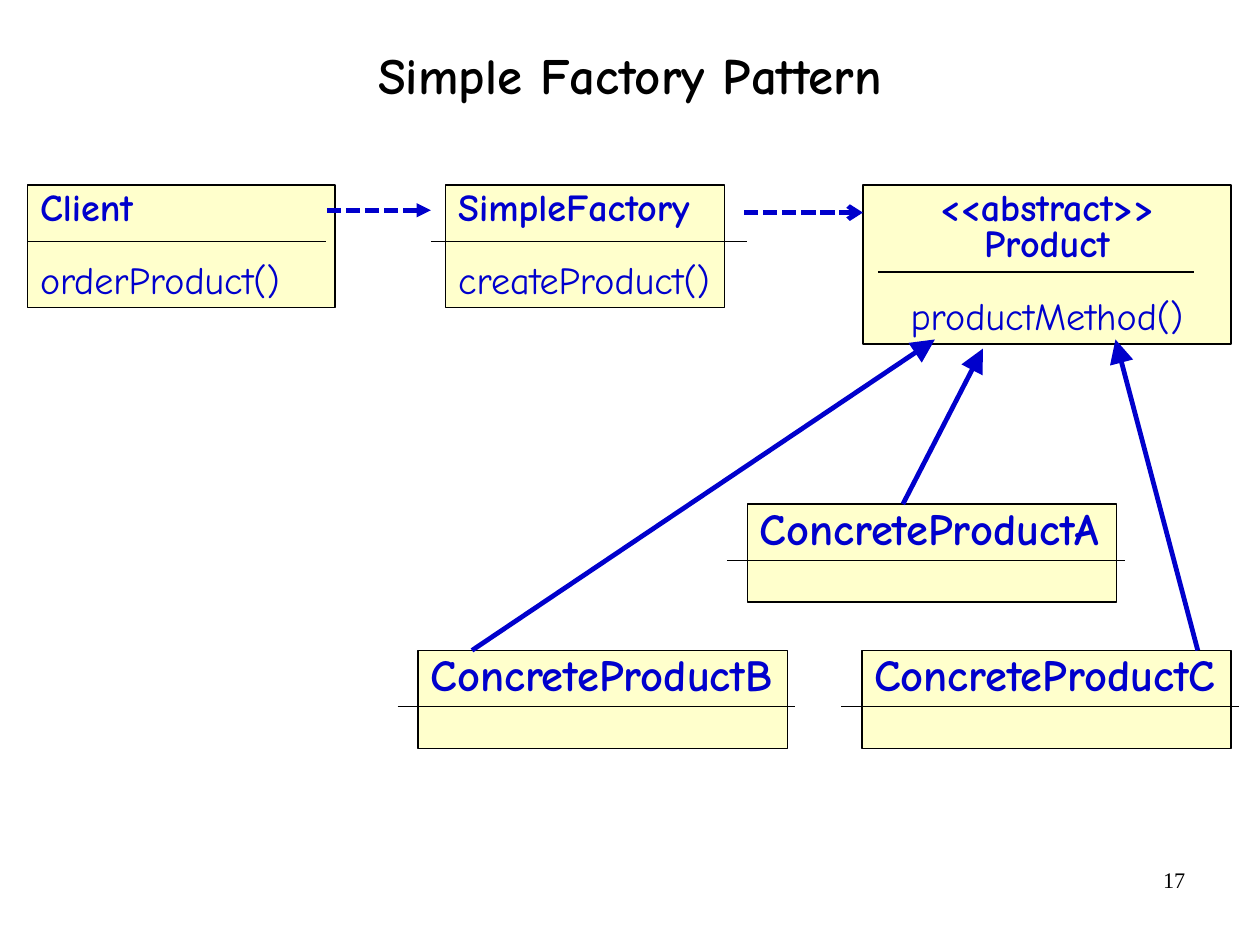
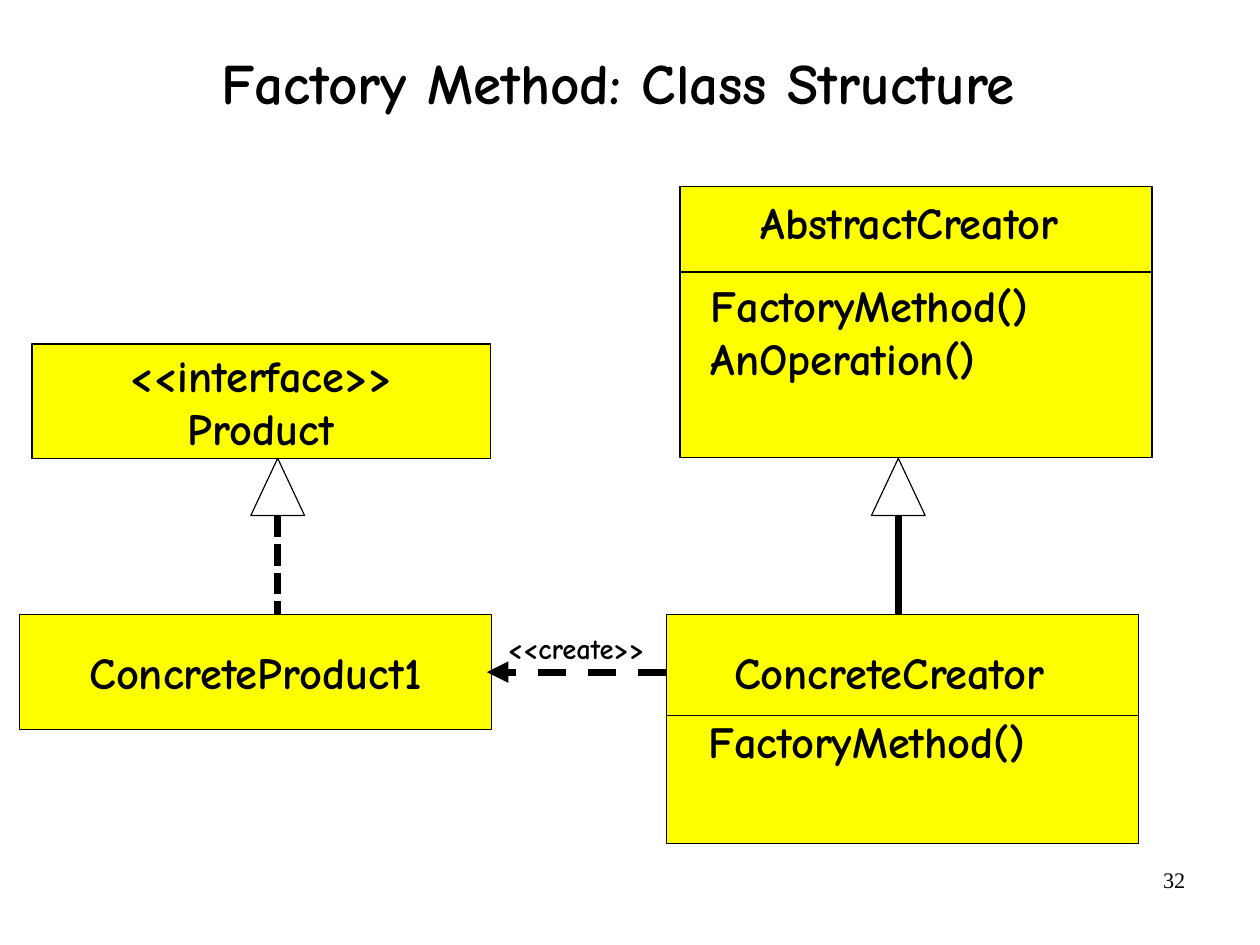
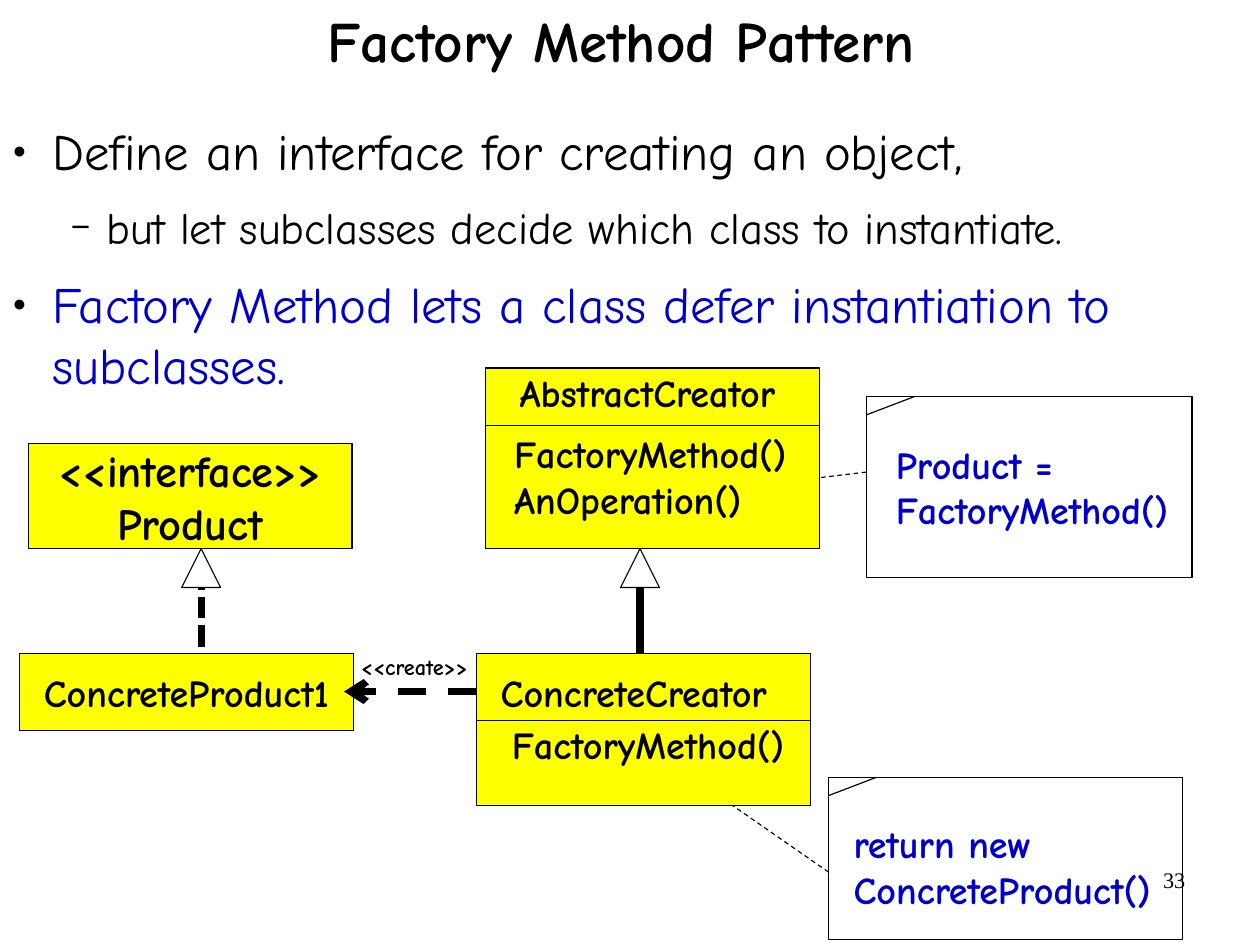
import pptx
import pptx.util
import pptx.dml.color
import pptx.enum.dml
import pptx.enum.shapes
import pptx.enum.text
import pptx.oxml
import pptx.oxml.ns

# Shared look; the grid has square cells of a tenth of an inch
WIDTH, HEIGHT = pptx.util.Emu(10080625), pptx.util.Emu(7559675)
CELL = pptx.util.Inches(0.1)
COLS = WIDTH / CELL
HUES = {"ink": "000000", "blue": "0000CC", "cream": "FFFFCC",
        "yellow": "FFFF00", "white": "FFFFFF"}
FACE = "Comic Neue"
ALIGN = pptx.enum.text.PP_ALIGN
ANCHOR = pptx.enum.text.MSO_ANCHOR
SHAPE = pptx.enum.shapes.MSO_SHAPE
DASH = pptx.enum.dml.MSO_LINE.DASH
DOTS = pptx.enum.dml.MSO_LINE.SQUARE_DOT
FRAME = {"margin_left": 1, "margin_right": 1, "margin_top": 0.5, "margin_bottom": 0.5}
CARD = {"margin_left": 1.1, "margin_right": 1.1, "margin_top": 0.6, "margin_bottom": 0.6}
BARE = dict.fromkeys(FRAME, 0)


def grid(*cells):
    return [round(cell * CELL) for cell in cells]


def hue(name):
    return pptx.dml.color.RGBColor.from_string(HUES[name])


def node(parent, tag, **attrs):
    item = parent.makeelement(pptx.oxml.ns.qn(tag), attrs)
    parent.append(item)
    return item


def style(item, values):
    for key, value in values.items():
        setattr(item, key, value)


# Text
def put(para, text, size, color="ink", bold=True, face=FACE):
    run = para.add_run()
    run.text = text
    style(run.font, {"name": face, "size": pptx.util.Pt(size), "bold": bold})
    run.font.color.rgb = hue(color)


def fit(shape, pads=FRAME, wrap=False, anchor=ANCHOR.TOP):
    frame = shape.text_frame
    style(frame, {key: round(pad * CELL) for key, pad in pads.items()})
    style(frame, {"word_wrap": wrap, "vertical_anchor": anchor,
                  "auto_size": pptx.enum.text.MSO_AUTO_SIZE.NONE})
    return frame


def fill(frame, lines, size, align=ALIGN.LEFT, **look):
    for num, line in enumerate(lines):
        para = frame.add_paragraph() if num else frame.paragraphs[0]
        para.alignment = align
        put(para, line, size, **look)


def label(slide, at, lines, size, mid=False, **look):
    shape = slide.shapes.add_textbox(*grid(*at))
    frame = fit(shape, anchor=ANCHOR.MIDDLE if mid else ANCHOR.TOP)
    fill(frame, lines, size, ALIGN.CENTER if mid else ALIGN.LEFT, **look)


def place(shape, at):
    style(shape, dict(zip(("left", "top", "width", "height"), grid(*at))))


def start(deck, layout, title, at, size, page):
    slide = deck.slides.add_slide(deck.slide_layouts[layout])
    head = slide.shapes.title
    place(head, at)
    fill(fit(head, BARE, True, ANCHOR.MIDDLE), [title], size, ALIGN.CENTER)
    head.text_frame.paragraphs[0].line_spacing = 0.88
    foot = slide.shapes.add_textbox(*grid(79, 75.3, 25.7, 5.7))
    fill(fit(foot, wrap=True), [page], 14, ALIGN.RIGHT, bold=False, face="Times New Roman")
    return slide


def outline(slide, body, at):
    place(body, at)
    frame = fit(body, BARE, True)
    items = [("Define an interface for creating an object,", 0, "ink"),
             ("but let subclasses decide which class to instantiate.", 1, "ink"),
             ("Factory Method lets a class defer instantiation to subclasses.", 0, "blue")]
    marks = [(4.6, -3.5, "●", 45, 32), (9.3, -3.1, "−", 75, 28)]
    for num, (text, level, color) in enumerate(items):
        left, hang, mark, scale, size = marks[level]
        para = frame.add_paragraph() if num else frame.paragraphs[0]
        para.level = level
        prop = para._p.get_or_add_pPr()
        for key, value in zip(("marL", "indent"), grid(left, hang)):
            prop.set(key, str(value))
        node(node(prop, "a:buClr"), "a:srgbClr", val=HUES["ink"])
        node(prop, "a:buSzPct", val=str(scale * 1000))
        node(prop, "a:buChar", char=mark)
        para.space_before = pptx.util.Pt(6.1 if num else 0)
        para.space_after = pptx.util.Pt(6.1)
        put(para, text, size, color, False)


# Boxes and lines
def box(slide, at, color=None, width=0.75, kind=SHAPE.RECTANGLE):
    shape = slide.shapes.add_shape(kind, *grid(*at))
    shape.shadow.inherit = False
    if color:
        shape.fill.solid()
        shape.fill.fore_color.rgb = hue(color)
    else:
        shape.fill.background()
    shape.line.color.rgb = hue("ink")
    shape.line.width = pptx.util.Pt(width)
    return shape


def link(slide, ends, width=0.75, color="ink", dash=None, tip=None, scale="med"):
    line = slide.shapes.add_connector(pptx.enum.shapes.MSO_CONNECTOR.STRAIGHT, *grid(*ends))
    line.line.color.rgb = hue(color)
    line.line.width = pptx.util.Pt(width)
    if dash:
        line.line.dash_style = dash
    if tip:
        node(line.line._get_or_add_ln(), "a:tailEnd", type=tip, w=scale, len=scale)
    node(line._element.spPr, "a:effectLst")


def card(slide, at, names, rule, size, method=None, align=ALIGN.LEFT, wrap=False):
    frame = fit(box(slide, at, "cream", 1), CARD, wrap)
    fill(frame, names, size, align, color="blue")
    if method:
        para = frame.add_paragraph()
        para.alignment = align
        para.space_before = pptx.util.Pt(23)
        put(para, method, size, "blue", False)
    for para in frame.paragraphs:
        para.line_spacing = 0.8
    left, right, level = rule
    link(slide, (left, level, right, level))


def plain(slide, at, lines, size):
    frame = fit(box(slide, at, "yellow"), anchor=ANCHOR.MIDDLE)
    fill(frame, lines, size, ALIGN.CENTER)


def split(slide, at, rule, name, spot, lines, area, size):
    left, _, width, _ = at
    box(slide, at, "yellow")
    link(slide, (left, rule, left + width, rule))
    label(slide, spot, [name], size, True)
    label(slide, area, lines, size)


def parent(slide, mid, top, end, wide, high, dash=None):
    link(slide, (mid, top + high / 2, mid, end), 4.5, dash=dash)
    box(slide, (mid - wide / 2, top, wide, high), "white", kind=SHAPE.ISOSCELES_TRIANGLE)


def note(slide, at, lines, area):
    left, top, _, _ = at
    box(slide, at)
    link(slide, (left + 4.2, top, left, top + 1.6))
    label(slide, area, lines, 24, color="blue")


# Slides
def simple(deck):
    slide = start(deck, 5, "Simple Factory Pattern", (8.3, 0, 93.7, 13.7), 32, "17")
    card(slide, (2.4, 16.2, 26.9, 10.7), ["Client"], (2.4, 28.5, 21.1), 24,
         "orderProduct()", wrap=True)
    card(slide, (39, 16.2, 24.4, 10.7), ["SimpleFactory"], (37.7, 65.4, 21.1), 24,
         "createProduct()")
    card(slide, (75.5, 16.2, 32.2, 13.9), ["<<abstract>>", "Product"], (76.8, 104.5, 23.8), 24,
         "productMethod()", ALIGN.CENTER, True)
    for letter, left, top in (("B", 36.6, 56.9), ("A", 65.4, 44.1), ("C", 75.4, 56.9)):
        card(slide, (left, top, 32.3, 8.6), ["ConcreteProduct" + letter],
             (left - 1.8, left + 33, top + 4.9), 28)
    link(slide, (28.6, 18.4, 37.7, 18.4), 3, "blue", DOTS, "triangle")
    link(slide, (65.1, 18.6, 75.5, 18.6), 3, "blue", DOTS, "arrow")
    for ends in ((41.3, 56.9, 81.8, 29.7), (79, 44.1, 86, 30.5), (104.8, 56.9, 97.6, 29.7)):
        link(slide, ends, 3, "blue", tip="triangle", scale="lg")


def classes(deck):
    slide = start(deck, 5, "Factory Method: Class Structure", (2.8, 0.7, 102.6, 13.7), 36, "32")
    split(slide, (59.5, 16.3, 41.3, 23.7), 23.8, "AbstractCreator", (66.6, 16.3, 26, 6.2),
          ["FactoryMethod()", "AnOperation()"], (61.2, 23.8, 29.9, 10.3), 28)
    split(slide, (58.3, 53.8, 41.3, 20), 62.6, "ConcreteCreator", (65.4, 53.8, 24.8, 10),
          ["FactoryMethod()"], (61, 62, 29.9, 5.7), 28)
    plain(slide, (2.8, 30.1, 40.1, 10), ["<<interface>>", "Product"], 28)
    plain(slide, (1.7, 53.8, 41.3, 10), ["ConcreteProduct1"], 28)
    link(slide, (58.3, 58.8, 42.6, 58.8), 4.5, dash=DASH, tip="triangle")
    label(slide, (43.4, 54.7, 14.1, 4), ["<<create>>"], 18)
    parent(slide, 24.3, 40.1, 53.8, 4.7, 5, DOTS)
    parent(slide, 78.6, 40.1, 53.8, 4.7, 5)


def pattern(deck):
    slide = start(deck, 1, "Factory Method Pattern", (7.5, 0, 93.7, 7.7), 36, "33")
    outline(slide, slide.placeholders[1], (0, 10.5, COLS, 70))
    note(slide, (75.8, 34.7, 28.5, 15.8), ["Product =", "FactoryMethod()"],
         (77.4, 38.1, 25.9, 9))
    note(slide, (72.5, 68, 31, 14.2), ["return new", "ConcreteProduct()"],
         (73.7, 71.3, 28.2, 9))
    link(slide, (72.5, 76.3, 61.7, 68.8), dash=DASH, tip="oval")
    link(slide, (75.8, 41.3, 68.3, 42.2), dash=DASH, tip="oval")
    split(slide, (42.5, 32.2, 29.2, 15.8), 37.2, "AbstractCreator", (47.5, 32.2, 18.3, 4.2),
          ["FactoryMethod()", "AnOperation()"], (44, 37.2, 25.9, 9), 24)
    split(slide, (41.7, 57.2, 29.2, 13.3), 63, "ConcreteCreator", (46.7, 57.2, 17.5, 6.7),
          ["FactoryMethod()"], (43.8, 62.6, 25.9, 5), 24)
    plain(slide, (2.5, 38.8, 28.3, 9.2), ["<<interface>>", "Product"], 28)
    plain(slide, (1.7, 57.2, 29.2, 6.7), ["ConcreteProduct1"], 24)
    link(slide, (41.7, 60.5, 30.1, 60.5), 4.5, dash=DASH, tip="arrow")
    label(slide, (30.6, 56.7, 11.5, 3.4), ["<<create>>"], 14)
    parent(slide, 17.6, 48, 57.2, 3.4, 3.4, DOTS)
    parent(slide, 56, 48, 57.2, 3.4, 3.4)


def main():
    deck = pptx.Presentation()
    deck.slide_width, deck.slide_height = WIDTH, HEIGHT
    for build in (simple, classes, pattern):
        build(deck)
    deck.save("out.pptx")


if __name__ == "__main__":
    main()
